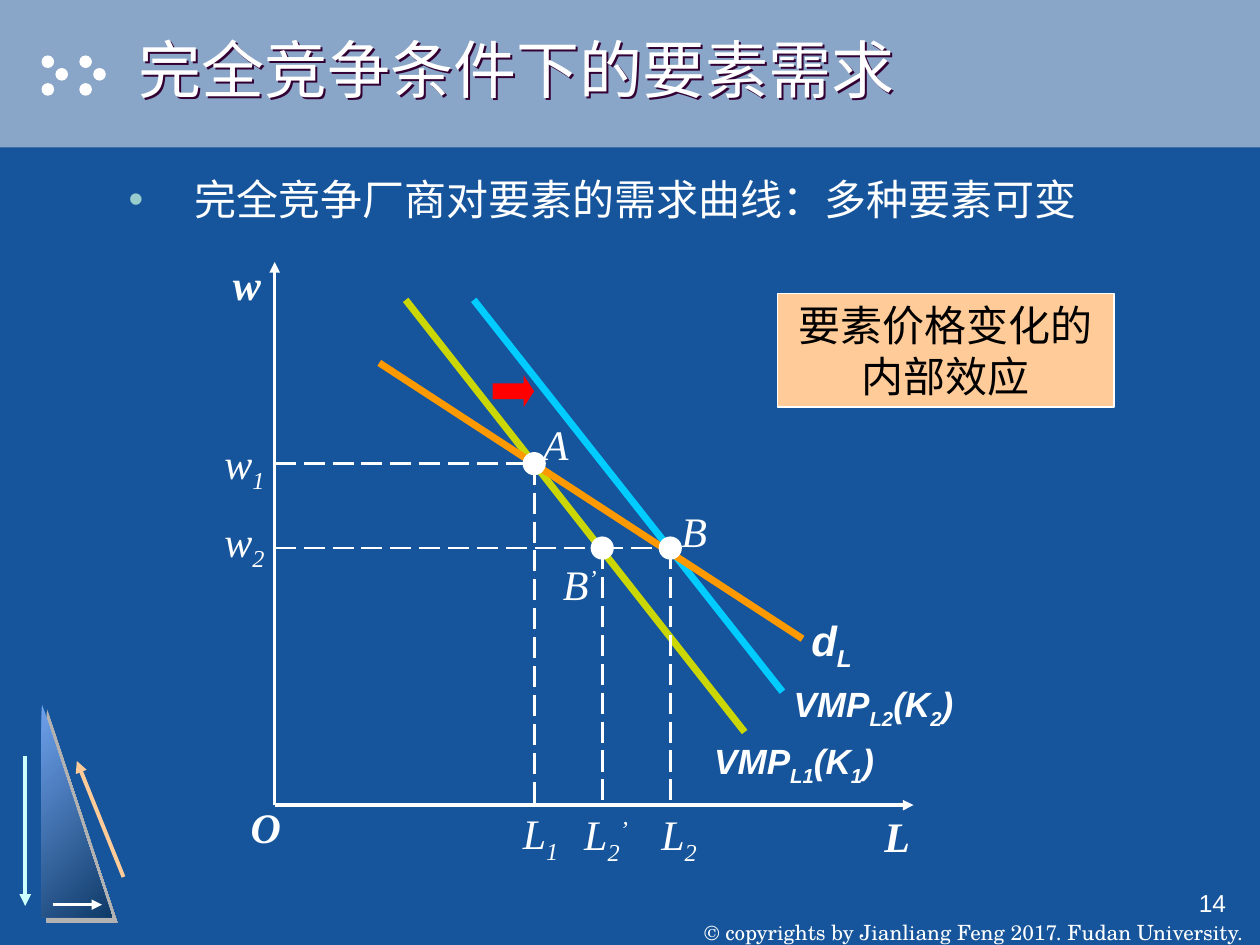
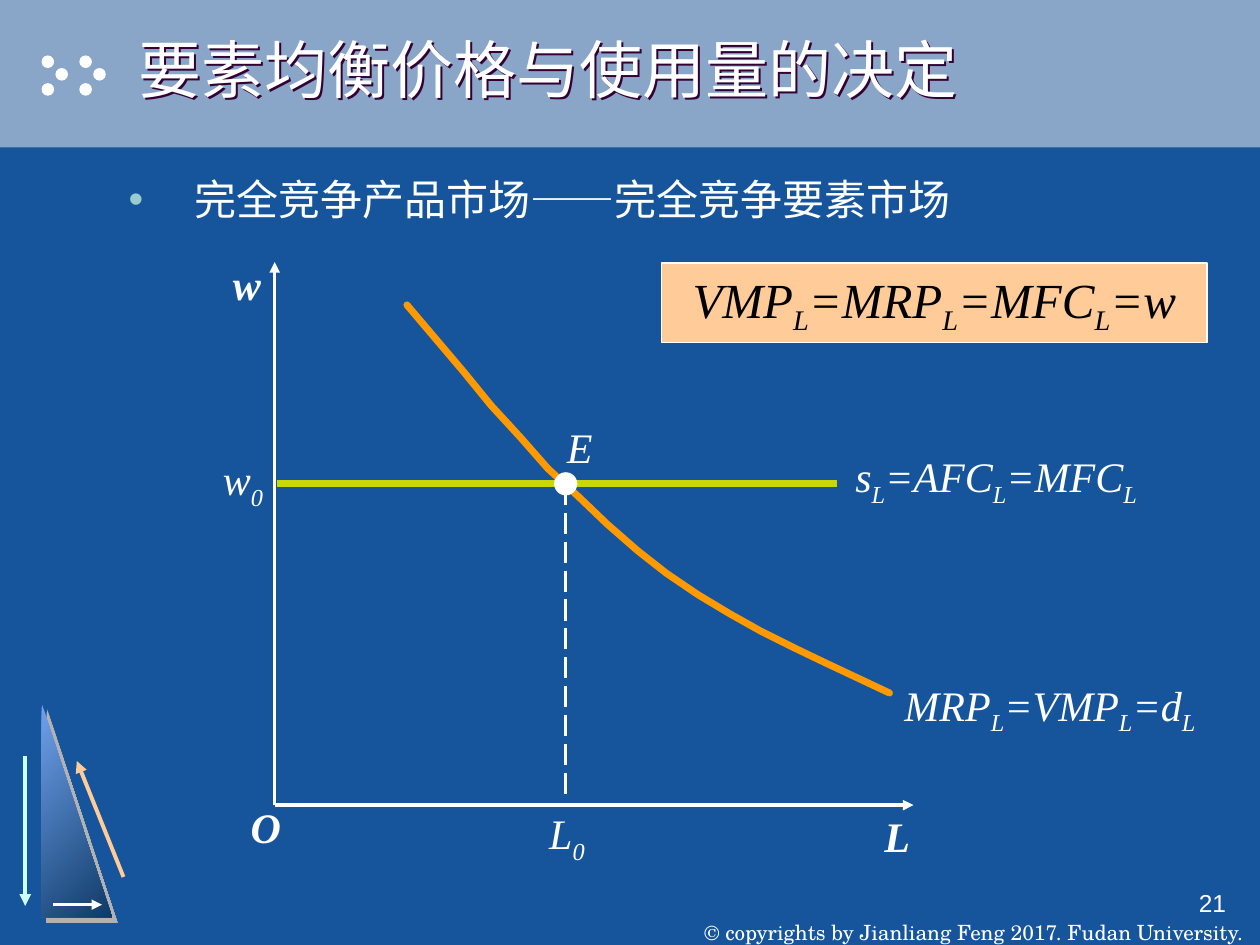
from dataclasses import dataclass

from lxml import etree
from pptx import Presentation
from pptx.dml.color import RGBColor
from pptx.enum import dml, shapes, text
from pptx.oxml.ns import qn
from pptx.util import Inches, Pt


@dataclass(frozen=True)
class Theme:
    # Colours
    ground: str = "16559B"
    band: str = "89A5C7"
    ink: str = "FFFFFF"
    dark: str = "000000"
    peach: str = "FFCC99"
    bullet: str = "99CCCC"
    pale_cyan: str = "CCFFFF"
    lime: str = "CAD704"
    cyan: str = "00CCFF"
    orange: str = "FF9900"
    red: str = "FF0000"
    shade: str = "B2B2B2"
    title_shade: str = "330033"
    gradient: tuple = ("6FA2ED", "0F3A68")
    # Fonts and sizes
    sans: str = "Arial"
    serif: str = "Times New Roman"
    credit_font: str = "TeX Gyre Schola"
    title: int = 36
    equation: int = 28
    body: int = 24
    curve_name: int = 20
    number: int = 14
    credit: int = 12


T = Theme()


@dataclass(frozen=True)
class Box:
    x: float
    y: float
    w: float
    h: float

    def inner(self, dx, dy, w=0, h=0):
        return Box(self.x + dx, self.y + dy, w, h)

    def emu(self):
        return [Inches(v) for v in (self.x, self.y, self.w, self.h)]


SYMBOL = dict(name=T.serif, size=Pt(T.body), italic=True)
AXIS = dict(SYMBOL, bold=True)
CURVE_NAME = dict(name=T.sans, size=Pt(T.curve_name), bold=True, italic=True)
PLOT = Box(2.18, 2.08, 5.07, 4.31)
FRAME = Box(0, 0, 10, 7.5)


# ---- Helpers ----
def rgb(code):
    return RGBColor.from_string(code)


def set_all(obj, values):
    for name, value in values.items():
        setattr(obj, name, value)


def add_xml(parent, tag, **attrs):
    return etree.SubElement(parent, qn(tag), attrs)


def add_shadow(sp, colour, dist):
    sp.shadow.inherit = False
    effects = sp.element.spPr.find(qn("a:effectLst"))
    shadow = add_xml(effects, "a:outerShdw", blurRad="0", dist=str(Pt(dist)),
                     dir="2700000", algn="ctr", rotWithShape="0")
    add_xml(shadow, "a:srgbClr", val=colour)


def write(p, marked, fmt, colour=T.ink):
    """Parts are split by |; a leading _ lowers a part and ^ raises it."""
    for part in marked.split("|"):
        r = p.add_run()
        r.text = part.lstrip("_^")
        set_all(r.font, fmt)
        r.font.color.rgb = rgb(colour)
        shift = {"_": "-25000", "^": "30000"}.get(part[0])
        if shift:
            r.font._element.set("baseline", shift)


def add_label(slide, box, marked, fmt, wrap=False, frame=None, **para):
    sp = slide.shapes.add_textbox(*box.emu())
    tf = sp.text_frame
    set_all(tf, dict(word_wrap=wrap, auto_size=text.MSO_AUTO_SIZE.SHAPE_TO_FIT_TEXT))
    set_all(tf, frame or {})
    set_all(tf.paragraphs[0], para)
    write(tf.paragraphs[0], marked, fmt)
    return sp


def add_solid(slide, kind, box, fill, line=None):
    sp = slide.shapes.add_shape(kind, *box.emu())
    sp.shadow.inherit = False
    sp.fill.solid()
    sp.fill.fore_color.rgb = rgb(fill)
    if line:
        sp.line.color.rgb = rgb(line)
        sp.line.width = Pt(1)
    else:
        sp.line.fill.background()
    return sp


def add_line(slide, box, start, end, colour, width, dash=False, arrow=False):
    a, b = box.inner(*start), box.inner(*end)
    line = slide.shapes.add_connector(shapes.MSO_CONNECTOR.STRAIGHT,
                                      *a.emu()[:2], *b.emu()[:2])
    line.line.color.rgb = rgb(colour)
    line.line.width = Pt(width)
    if dash:
        line.line.dash_style = dml.MSO_LINE.LONG_DASH
    sp_pr = line.element.spPr
    if arrow:
        add_xml(sp_pr.find(qn("a:ln")), "a:tailEnd", type="triangle")
    add_xml(sp_pr, "a:effectLst")
    return line


# ---- Shared frame, kept on the layout ----
def draw_frame(slide, box):
    rect, oval = shapes.MSO_SHAPE.RECTANGLE, shapes.MSO_SHAPE.OVAL
    parts = [add_solid(slide, rect, box.inner(0, 0, box.w, 1.17), T.band)]
    # Two chevrons of dots
    for left in (0.33, 0.63):
        for dx, top in ((0, 0.44), (0.11, 0.54), (0, 0.66)):
            parts.append(add_solid(slide, oval, box.inner(left + dx, top, 0.1, 0.1), T.ink))
    # Corner triangle with its arrows
    tri = add_solid(slide, shapes.MSO_SHAPE.RIGHT_TRIANGLE,
                    box.inner(0.33, 5.58, 0.56, 1.7), T.gradient[0])
    tri.fill.gradient()
    tri.fill.gradient_angle = 315
    for stop, colour in zip(tri.fill.gradient_stops, T.gradient):
        stop.color.rgb = rgb(colour)
    add_shadow(tri, T.shade, 4.2)
    parts.append(tri)
    for start, end, colour, width in (
            ((0.2, 6), (0.2, 7.19), T.pale_cyan, 2.25),
            ((0.98, 6.96), (0.61, 6.04), T.peach, 2.25),
            ((0.42, 7.18), (0.81, 7.18), T.ink, 1.5)):
        parts.append(add_line(slide, box, start, end, colour, width, arrow=True))
    # Copyright line
    parts.append(add_label(
        slide, box.inner(5.44, 7, 4.58, 0.5),
        "© copyrights by Jianliang Feng 2017. Fudan University.",
        dict(name=T.credit_font, size=Pt(T.credit)),
        frame=dict(auto_size=text.MSO_AUTO_SIZE.NONE, margin_top=0, margin_bottom=0,
                   vertical_anchor=text.MSO_ANCHOR.BOTTOM),
        alignment=text.PP_ALIGN.CENTER))
    tree = slide.slide_layout.shapes.element
    for part in parts:
        tree.append(part.element)


# ---- Title, bullet and page number ----
def fill_placeholder(sp, box, anchor):
    set_all(sp, dict(zip(("left", "top", "width", "height"), box.emu())))
    sp.text_frame.vertical_anchor = anchor
    p = sp.text_frame.paragraphs[0]
    p.alignment = text.PP_ALIGN.LEFT
    p.space_before = Pt(0)
    return p


def add_text_slide(prs, title, bullet, number):
    slide = prs.slides.add_slide(prs.slide_layouts[1])
    heading = slide.shapes.title
    p = fill_placeholder(heading, Box(1, 0, 9, 1.08), text.MSO_ANCHOR.MIDDLE)
    write(p, title, dict(name=T.sans, size=Pt(T.title)))
    # With no fill, the shadow falls from the letters
    heading.fill.background()
    add_shadow(heading, T.title_shade, 1.5)

    p = fill_placeholder(slide.placeholders[1], Box(0.92, 1.33, 8.17, 5), text.MSO_ANCHOR.TOP)
    p_pr = p._p.get_or_add_pPr()
    p_pr.set("marL", str(Inches(0.52)))
    p_pr.set("indent", str(-Inches(0.52)))
    add_xml(add_xml(p_pr, "a:buClr"), "a:srgbClr", val=T.bullet)
    add_xml(p_pr, "a:buChar", char="•")
    write(p, bullet, dict(name=T.serif, size=Pt(T.body)))

    add_label(slide, Box(7.75, 7, 2.08, 0.5), number, dict(name=T.sans, size=Pt(T.number)),
              wrap=True, frame=dict(auto_size=text.MSO_AUTO_SIZE.NONE),
              alignment=text.PP_ALIGN.RIGHT)
    return slide


# ---- Diagram parts, relative to the plot box ----
def draw_axes(slide, box):
    for end in ((0, 0), (box.w, box.h)):
        add_line(slide, box, (0, box.h), end, T.ink, 2, arrow=True)
    for name, x, y, w in (("L", 4.74, 4.3, 0.4), ("w", -0.43, -0.08, 0.42),
                          ("O", -0.29, 4.23, 0.44)):
        add_label(slide, box.inner(x, y, w, 0.5), name, AXIS)


def draw_guide(slide, box, start, end):
    add_line(slide, box, start, end, T.ink, 1.5, dash=True)


def draw_point(slide, box, x, y):
    size = 0.17
    add_solid(slide, shapes.MSO_SHAPE.OVAL,
              box.inner(x - size / 2, y - size / 2, size, size), T.ink, T.ink)


def draw_curve(slide, box, points, colour):
    pts = [box.inner(*pt).emu()[:2] for pt in points]
    builder = slide.shapes.build_freeform(*pts[0])
    builder.add_line_segments(pts[1:], close=False)
    sp = builder.convert_to_shape()
    sp.shadow.inherit = False
    sp.fill.background()
    sp.line.color.rgb = rgb(colour)
    sp.line.width = Pt(4)
    ln = sp.element.spPr.find(qn("a:ln"))
    ln.set("cap", "rnd")
    add_xml(ln, "a:round")


def draw_callout(slide, box, marked, fmt):
    sp = add_solid(slide, shapes.MSO_SHAPE.RECTANGLE, box, T.peach, T.ink)
    tf = sp.text_frame
    set_all(tf, dict(word_wrap=True, vertical_anchor=text.MSO_ANCHOR.TOP,
                     auto_size=text.MSO_AUTO_SIZE.SHAPE_TO_FIT_TEXT))
    tf.paragraphs[0].alignment = text.PP_ALIGN.CENTER
    write(tf.paragraphs[0], marked, fmt, T.dark)


# ---- Diagrams ----
def draw_factor_demand(slide, box):
    draw_axes(slide, box)
    for start, end, colour in (((1.04, 0.3), (3.73, 3.73), T.lime),
                               ((1.58, 0.3), (4.03, 3.41), T.cyan),
                               ((0.83, 0.8), (4.19, 2.99), T.orange)):
        add_line(slide, box, start, end, colour, 4)
    shift = add_solid(slide, shapes.MSO_SHAPE.RIGHT_ARROW,
                      box.inner(1.73, 0.9, 0.33, 0.25), T.red)
    shift.adjustments[1] = 0.33
    # Equilibrium points with their guides
    w1, w2 = 1.6, 2.27
    for x, y in ((2.06, w1), (2.6, w2), (3.14, w2)):
        draw_guide(slide, box, (x, y), (x, box.h))
        draw_point(slide, box, x, y)
    draw_guide(slide, box, (0, w1), (2.06, w1))
    draw_guide(slide, box, (0, w2), (2.6, w2))
    draw_guide(slide, box, (2.6, w2), (3.14, w2))
    # Ticks on the axes
    for name, x, y in (("w|_1", -0.53, 1.25), ("w|_2", -0.53, 1.87), ("L|_1", 1.82, 4.19),
                       ("L|_2|^’", 2.34, 4.2), ("L|_2", 2.92, 4.2)):
        add_label(slide, box.inner(x, y, 0.58, 0.65), name, SYMBOL, wrap=True,
                  alignment=text.PP_ALIGN.CENTER, line_spacing=1.2)
    # Names of points and curves
    for name, x, y, w, h, fmt in (
            ("A", 2.03, 1.19, 0.4, 0.5, SYMBOL),
            ("B", 3.13, 1.88, 0.4, 0.5, SYMBOL),
            ("B|^’", 2.19, 2.3, 0.47, 0.5, SYMBOL),
            ("VMP|_L1|(K|_1|)", 3.39, 3.74, 1.47, 0.48, CURVE_NAME),
            ("VMP|_L2|(K|_2|)", 4.02, 3.29, 1.47, 0.48, CURVE_NAME),
            ("d|_L", 4.16, 2.75, 0.52, 0.55, dict(CURVE_NAME, size=Pt(T.body)))):
        add_label(slide, box.inner(x, y, w, h), name, fmt)


def draw_equilibrium(slide, box):
    draw_axes(slide, box)
    x, y = 2.31, 1.76
    draw_curve(slide, box, (
        (1.05, 0.34), (1.5, 0.87), (1.72, 1.14), (1.95, 1.39), (2.17, 1.64),
        (2.41, 1.86), (2.64, 2.08), (2.88, 2.29), (3.11, 2.47), (3.36, 2.64),
        (3.61, 2.79), (3.86, 2.93), (4.12, 3.06), (4.37, 3.18), (4.88, 3.42)), T.orange)
    add_line(slide, box, (0.02, y), (4.46, y), T.lime, 4)
    draw_guide(slide, box, (x, y), (x, 4.28))
    draw_point(slide, box, x, y)
    for name, left, top, w, h in (
            ("E", 2.22, 1.22, 0.4, 0.5),
            ("w|_0", -0.51, 1.47, 0.52, 0.55),
            ("L|_0", 2.08, 4.28, 0.48, 0.55),
            ("s|_L|=AFC|_L|=MFC|_L", 4.51, 1.45, 2.5, 0.55),
            ("MRP|_L|=VMP|_L|=d|_L", 4.9, 3.26, 2.55, 0.55)):
        add_label(slide, box.inner(left, top, w, h), name, SYMBOL)


def main():
    prs = Presentation()
    prs.slide_width, prs.slide_height = Inches(FRAME.w), Inches(FRAME.h)
    ground = prs.slide_master.background.fill
    ground.solid()
    ground.fore_color.rgb = rgb(T.ground)

    slide = add_text_slide(prs, "完全竞争条件下的要素需求",
                           "完全竞争厂商对要素的需求曲线：多种要素可变", "14")
    draw_frame(slide, FRAME)
    draw_factor_demand(slide, PLOT)
    draw_callout(slide, Box(6.17, 2.33, 2.67, 0.9), "要素价格变化的内部效应",
                 dict(name=T.serif, size=Pt(T.body)))

    slide = add_text_slide(prs, "要素均衡价格与使用量的决定",
                           "完全竞争产品市场——完全竞争要素市场", "21")
    draw_equilibrium(slide, PLOT)
    draw_callout(slide, Box(5.25, 2.09, 4.33, 0.63), "VMP|_L|=MRP|_L|=MFC|_L|=w",
                 dict(SYMBOL, size=Pt(T.equation)))
    prs.save("out.pptx")


if __name__ == "__main__":
    main()
